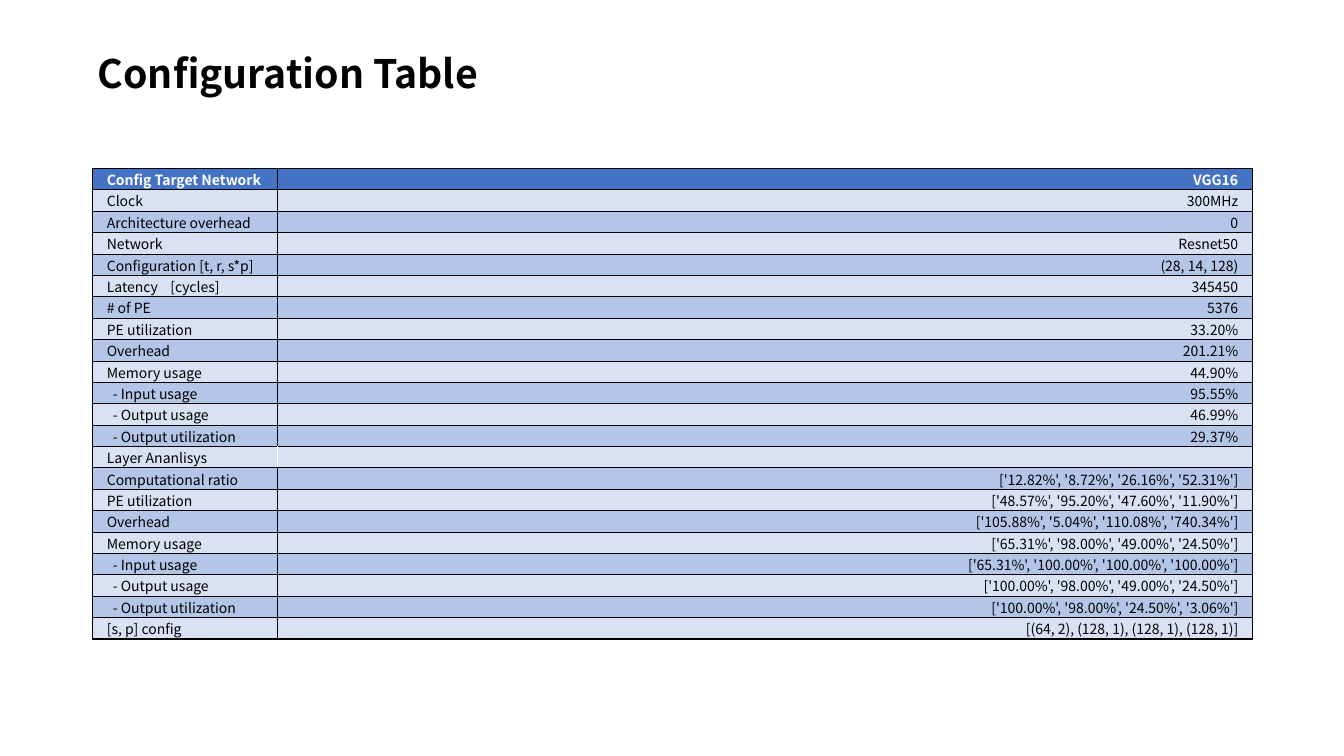
from lxml.etree import SubElement
from pptx import Presentation
from pptx.dml.color import RGBColor
from pptx.enum.text import MSO_ANCHOR, PP_ALIGN
from pptx.oxml.ns import qn
from pptx.util import Inches, Pt

FONT = "Noto Sans CJK KR"
COLORS = {"black": "000000", "white": "FFFFFF", "header": "4472C4",
          "light": "D9E1F2", "dark": "B4C6E7"}
SECTION = "Layer Ananlisys"
HEAVY_EDGES = (0, 3, 13, 22)
LABEL_WIDTH = 1.83
ROWS = [
    ("Config Target Network", "VGG16"),
    ("Clock", "300MHz"),
    ("Architecture overhead", "0"),
    ("Network", "Resnet50"),
    ("Configuration [t, r, s*p]", "(28, 14, 128)"),
    ("Latency\t[cycles]", "345450"),
    ("# of PE", "5376"),
    ("PE utilization", "33.20%"),
    ("Overhead", "201.21%"),
    ("Memory usage", "44.90%"),
    ("- Input usage", "95.55%"),
    ("- Output usage", "46.99%"),
    ("- Output utilization", "29.37%"),
    (SECTION, ""),
    ("Computational ratio", "['12.82%', '8.72%', '26.16%', '52.31%']"),
    ("PE utilization", "['48.57%', '95.20%', '47.60%', '11.90%']"),
    ("Overhead", "['105.88%', '5.04%', '110.08%', '740.34%']"),
    ("Memory usage", "['65.31%', '98.00%', '49.00%', '24.50%']"),
    ("- Input usage", "['65.31%', '100.00%', '100.00%', '100.00%']"),
    ("- Output usage", "['100.00%', '98.00%', '49.00%', '24.50%']"),
    ("- Output utilization", "['100.00%', '98.00%', '24.50%', '3.06%']"),
    ("[s, p] config", "[(64, 2), (128, 1), (128, 1), (128, 1)]"),
]


def rgb(name):
    """Return the named colour."""
    return RGBColor.from_string(COLORS[name])


def format_run(r, size, color, bold):
    """Set the font of a run."""
    r.font.name, r.font.size, r.font.bold = FONT, Pt(size), bold
    r.font.color.rgb = rgb(color)


def add_border(cell, side, width, color):
    """Draw one side of a cell border."""
    ln = SubElement(cell._tc.get_or_add_tcPr(), qn(f"a:ln{side}"), w=str(Pt(width)))
    fill = SubElement(ln, qn("a:solidFill"))
    SubElement(fill, qn("a:srgbClr"), val=COLORS[color])


def add_tab_stop(p, position):
    """Place a left tab stop in a paragraph."""
    tabs = SubElement(p._p.get_or_add_pPr(), qn("a:tabLst"))
    SubElement(tabs, qn("a:tab"), pos=str(Inches(position)), algn="l")


def add_title(s, left, top, width, height):
    """Place the slide title in the given box."""
    box = s.shapes.add_textbox(Inches(left), Inches(top), Inches(width), Inches(height))
    tf = box.text_frame
    tf.word_wrap = True
    tf.vertical_anchor = MSO_ANCHOR.MIDDLE
    tf.margin_left = tf.margin_right = tf.margin_top = tf.margin_bottom = Inches(0.05)
    p = tf.paragraphs[0]
    p.text = "Configuration Table"
    p.line_spacing = 0.9
    format_run(p.runs[0], 28, "black", True)


def style_cell(cell, row, col):
    """Set the borders, fill and text of one table cell."""
    text = ROWS[row][col]
    divider = "white" if ROWS[row][0] == SECTION else "black"
    for side, edge in (("L", col), ("R", col + 1)):
        add_border(cell, side, 0.5 if edge == 1 else 1,
                   divider if edge == 1 else "black")
    for side, edge in (("T", row), ("B", row + 1)):
        add_border(cell, side, 1 if edge in HEAVY_EDGES else 0.5, "black")
    cell.fill.solid()
    cell.fill.fore_color.rgb = rgb("header" if row == 0 else "light" if row % 2 else "dark")
    cell.vertical_anchor = MSO_ANCHOR.MIDDLE
    indent = 0.2 if text.startswith("-") else 0.14
    cell.margin_left = Inches(0.01 if col else indent)
    cell.margin_right = Inches(0.14 if col else 0.01)
    cell.margin_top, cell.margin_bottom = Inches(0.01), 0
    p = cell.text_frame.paragraphs[0]
    p.alignment = PP_ALIGN.RIGHT if col else PP_ALIGN.LEFT
    if "\t" in text:
        add_tab_stop(p, 0.63)
    if text:
        p.text = text
        format_run(p.runs[0], 10, "white" if row == 0 else "black", row == 0)
    else:
        p._p.get_or_add_endParaRPr().set("sz", "1000")


def add_config_table(s, left, top, width, height):
    """Place the configuration table in the given box."""
    table = s.shapes.add_table(len(ROWS), 2, Inches(left), Inches(top),
                               Inches(width), Inches(height)).table
    table.columns[0].width = Inches(LABEL_WIDTH)
    table.columns[1].width = Inches(width - LABEL_WIDTH)
    for row in range(len(ROWS)):
        table.rows[row].height = Inches(height / len(ROWS))
        for col in range(2):
            style_cell(table.cell(row, col), row, col)


def main():
    """Build and save the slide."""
    prs = Presentation()
    prs.slide_width, prs.slide_height = Inches(13.33), Inches(7.5)
    s = prs.slides.add_slide(prs.slide_layouts[6])
    add_title(s, 0.92, 0.4, 11.5, 0.7)
    add_config_table(s, 0.92, 1.67, 11.5, 4.67)
    prs.save("out.pptx")


if __name__ == "__main__":
    main()
